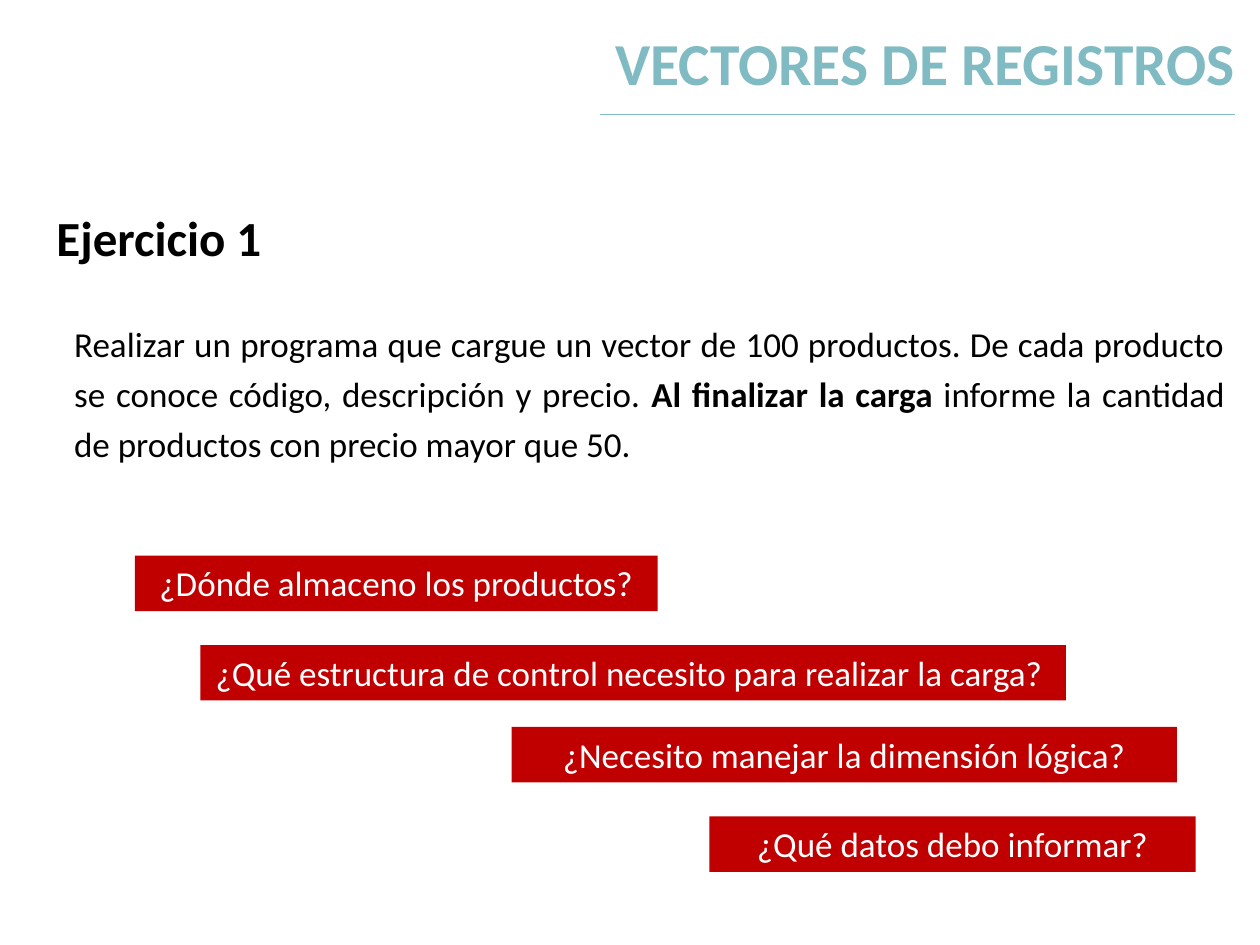
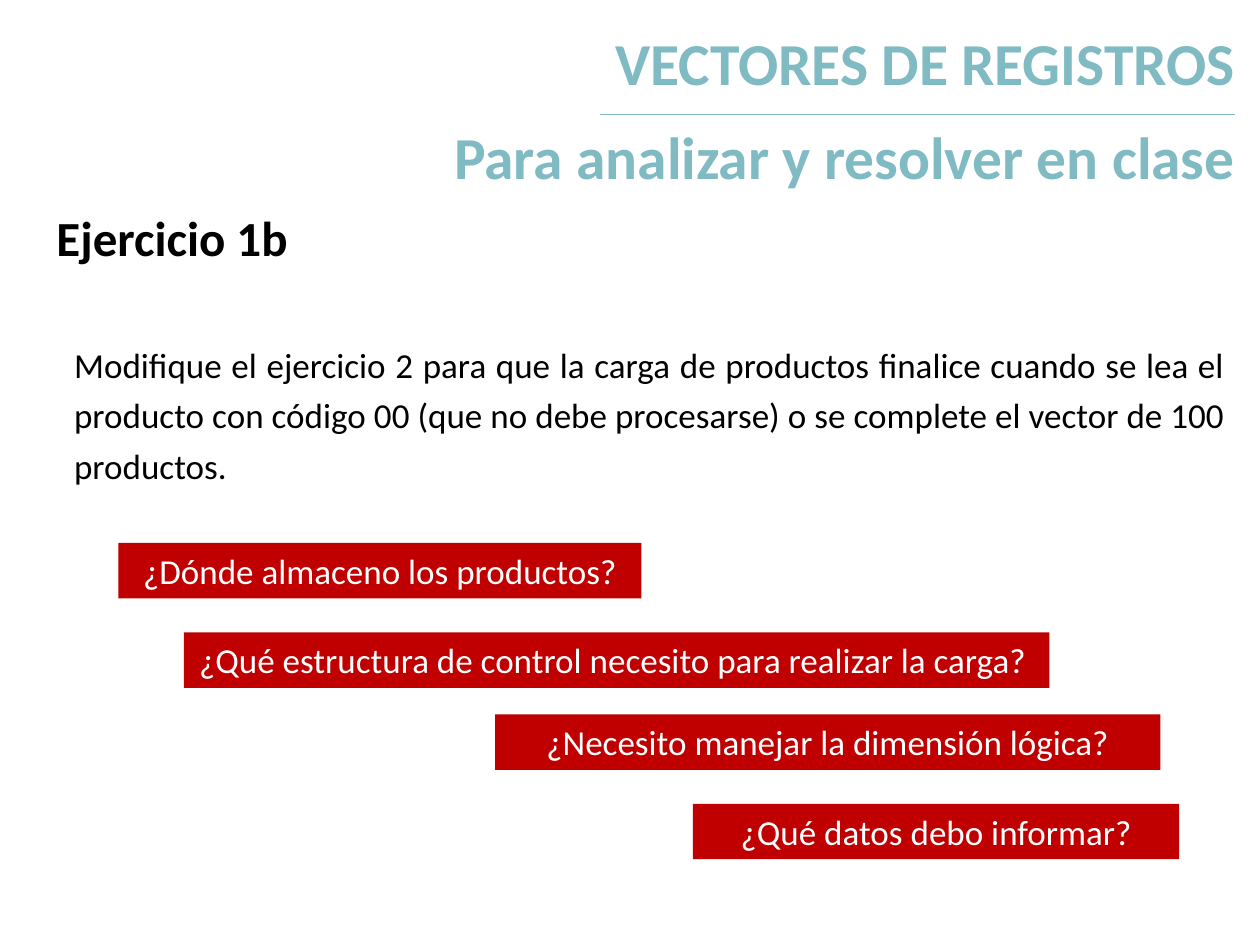
from dataclasses import dataclass

from lxml import etree
from pptx import Presentation
from pptx.dml.color import RGBColor
from pptx.enum.shapes import MSO_CONNECTOR, MSO_SHAPE
from pptx.enum.text import MSO_ANCHOR, PP_ALIGN
from pptx.oxml.ns import qn
from pptx.util import Inches, Pt


@dataclass(frozen=True)
class Theme:
    font: str = "Calibri"
    accent: RGBColor = RGBColor(0x80, 0xBA, 0xC2)
    question: RGBColor = RGBColor(0xC0, 0x00, 0x00)
    text: RGBColor = RGBColor(0x00, 0x00, 0x00)
    light: RGBColor = RGBColor(0xFF, 0xFF, 0xFF)
    title_size: int = 34
    heading_size: int = 28
    body_size: int = 20
    title_gap: int = 17
    rule_width: float = 0.75


QUESTIONS = [
    ("¿Dónde almaceno los productos?", 0, 0, 4.15),
    ("¿Qué estructura de control necesito para realizar la carga? ", 0.52, 0.71, 6.87),
    ("¿Necesito manejar la dimensión lógica?", 2.99, 1.36, 5.28),
    ("¿Qué datos debo informar?", 4.56, 2.07, 3.86),
]

EXERCISES = [
    {
        "titles": ["VECTORES DE REGISTROS"],
        "heading": "Ejercicio 1",
        "statement": [
            ("Realizar un programa que cargue un vector de 100 productos. "
             "De cada producto se conoce código, descripción y precio. ", False),
            ("Al finalizar la carga", True),
            (" informe la cantidad de productos con precio mayor que 50. ", False),
        ],
        "statement_top": 2.44,
        "questions_origin": (1.07, 4.41),
    },
    {
        "titles": ["VECTORES DE REGISTROS", "Para analizar y resolver en clase"],
        "heading": "Ejercicio 1b",
        "statement": [
            ("Modifique el ejercicio 2 para que la carga de productos finalice "
             "cuando se lea el producto con código 00 (que no debe procesarse) "
             "o se complete el vector de 100 productos.", False),
        ],
        "statement_top": 2.61,
        "questions_origin": (0.94, 4.31),
    },
]


class Deck:
    def __init__(self, theme):
        self.theme = theme
        self.presentation = Presentation()
        self.presentation.slide_width = Inches(10)
        self.presentation.slide_height = Inches(7.5)
        self.slide = None

    def add_slide(self):
        self.slide = self.presentation.slides.add_slide(self.presentation.slide_layouts[6])

    def add_runs(self, paragraph, runs, size, color, alignment):
        paragraph.alignment = alignment
        for text, bold in runs:
            run = paragraph.add_run()
            run.text = text
            run.font.name = self.theme.font
            run.font.size = Pt(size)
            run.font.bold = bold
            run.font.color.rgb = color

    def text_box(self, left, top, width, height):
        frame = self.slide.shapes.add_textbox(
            Inches(left), Inches(top), Inches(width), Inches(height)).text_frame
        frame.word_wrap = True
        return frame

    def title(self, lines):
        frame = self.text_box(0.9, 0.22, 9, 1.17)
        for index, line in enumerate(lines):
            paragraph = frame.add_paragraph() if index else frame.paragraphs[0]
            paragraph.line_spacing = 0.9
            paragraph.space_before = Pt(self.theme.title_gap if index else 0)
            self.add_runs(paragraph, [(line, True)], self.theme.title_size,
                          self.theme.accent, PP_ALIGN.RIGHT)

    def title_rule(self):
        connector = self.slide.shapes.add_connector(
            MSO_CONNECTOR.STRAIGHT, Inches(4.76), Inches(0.91), Inches(9.8), Inches(0.91))
        connector.line.color.rgb = self.theme.accent
        connector.line.width = Pt(self.theme.rule_width)
        etree.SubElement(connector._element.spPr, qn("a:effectLst"))

    def heading(self, text):
        frame = self.text_box(0.35, 1.49, 9.33, 0.72)
        frame.vertical_anchor = MSO_ANCHOR.BOTTOM
        frame.margin_bottom = Inches(0.1)
        self.add_runs(frame.paragraphs[0], [(text, True)], self.theme.heading_size,
                      self.theme.text, PP_ALIGN.LEFT)

    def statement(self, runs, top):
        paragraph = self.text_box(0.49, top, 9.33, 1.32).paragraphs[0]
        paragraph.line_spacing = 1.2
        self.add_runs(paragraph, runs, self.theme.body_size, self.theme.text, PP_ALIGN.JUSTIFY)

    def question(self, text, left, top, width):
        shape = self.slide.shapes.add_shape(
            MSO_SHAPE.RECTANGLE, Inches(left), Inches(top), Inches(width), Inches(0.44))
        shape.shadow.inherit = False
        shape.fill.solid()
        shape.fill.fore_color.rgb = self.theme.question
        shape.line.fill.background()
        frame = shape.text_frame
        frame.word_wrap = True
        frame.vertical_anchor = MSO_ANCHOR.TOP
        self.add_runs(frame.paragraphs[0], [(text, False)], self.theme.body_size,
                      self.theme.light, PP_ALIGN.CENTER)


def main():
    deck = Deck(Theme())
    for exercise in EXERCISES:
        deck.add_slide()
        deck.title(exercise["titles"])
        deck.title_rule()
        deck.heading(exercise["heading"])
        deck.statement(exercise["statement"], exercise["statement_top"])
        left, top = exercise["questions_origin"]
        for text, offset_x, offset_y, width in QUESTIONS:
            deck.question(text, left + offset_x, top + offset_y, width)
    deck.presentation.save("out.pptx")


if __name__ == "__main__":
    main()
